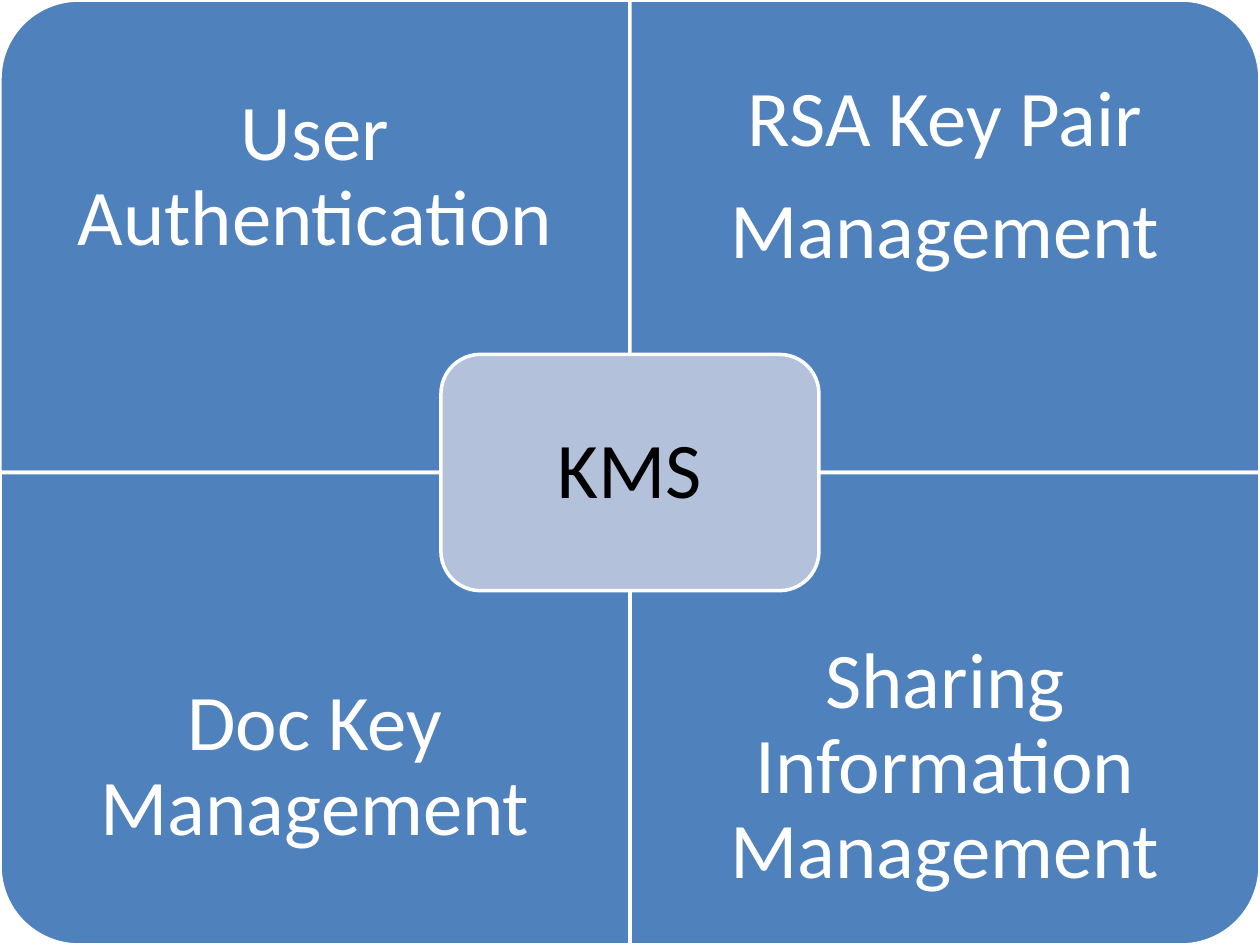
import pptx
import pptx.util
import pptx.dml.color
import pptx.enum.shapes
import pptx.enum.text

SCALE = 914400 / 126
WIDTH, HEIGHT = 1260, 945
COLORS = {"quadrant": "4F81BD", "center": "B3C1DB", "line": "FFFFFF",
          "light": "FFFFFF", "dark": "000000"}
SHAPES = pptx.enum.shapes.MSO_SHAPE


def emu(pixels):
    return pptx.util.Emu(round(pixels * SCALE))


def color(name):
    return pptx.dml.color.RGBColor.from_string(COLORS[name])


def add_panel(slide, kind, box, fill, rotation=0):
    left, top, width, height = box
    if rotation % 180:
        left, top = left + (width - height) / 2, top + (height - width) / 2
        width, height = height, width
    shape = slide.shapes.add_shape(kind, *map(emu, (left, top, width, height)))
    shape.rotation = rotation
    shape.shadow.inherit = False
    shape.fill.solid()
    shape.fill.fore_color.rgb = color(fill)
    shape.line.color.rgb = color("line")
    shape.line.width = pptx.util.Pt(2)


def add_text(slide, box, lines, ink="light", inset=44, size=45, font="Calibri"):
    frame = slide.shapes.add_textbox(*map(emu, box)).text_frame
    frame.word_wrap = True
    frame.vertical_anchor = pptx.enum.text.MSO_ANCHOR.MIDDLE
    frame.margin_left = frame.margin_right = emu(inset)
    frame.margin_top = frame.margin_bottom = emu(inset)
    frame.text = "\n".join(lines)
    for paragraph in frame.paragraphs:
        paragraph.alignment = pptx.enum.text.PP_ALIGN.CENTER
        paragraph.line_spacing = 0.9
        paragraph.space_after = pptx.util.Pt(size * 0.35)
        run_font = paragraph.runs[0].font
        run_font.name = font
        run_font.size = pptx.util.Pt(size)
        run_font.color.rgb = color(ink)


def add_quadrant(slide, box, lines, rotation, at_bottom):
    left, top, width, height = box
    add_panel(slide, SHAPES.ROUND_1_RECTANGLE, box, "quadrant", rotation)
    text_top = top + height / 4 if at_bottom else top
    add_text(slide, (left, text_top, width, height * 3 / 4), lines)


def add_center(slide, box, lines, padding=12):
    left, top, width, height = box
    add_panel(slide, SHAPES.ROUNDED_RECTANGLE, box, "center")
    add_text(slide, (left + padding, top + padding, width - 2 * padding, height - 2 * padding),
             lines, ink="dark", inset=24)


def add_matrix(slide, box, quadrants, center):
    left, top, width, height = box
    half_width, half_height = width / 2, height / 2
    for row, column, rotation, lines in quadrants:
        cell = (left + column * half_width, top + row * half_height, half_width, half_height)
        add_quadrant(slide, cell, lines, rotation, at_bottom=row == 1)
    center_width, center_height = width * 0.3, height / 4
    add_center(slide, (left + (width - center_width) / 2, top + (height - center_height) / 2,
                       center_width, center_height), center)


presentation = pptx.Presentation()
presentation.slide_width = emu(WIDTH)
presentation.slide_height = emu(HEIGHT)
slide = presentation.slides.add_slide(presentation.slide_layouts[6])
add_matrix(slide, (0, 0, WIDTH, HEIGHT), [
    (0, 0, 270, ["User Authentication"]),
    (0, 1, 0, ["RSA Key Pair", "Management"]),
    (1, 0, 180, ["Doc Key Management"]),
    (1, 1, 90, ["Sharing Information Management"]),
], ["KMS"])
presentation.save("out.pptx")
